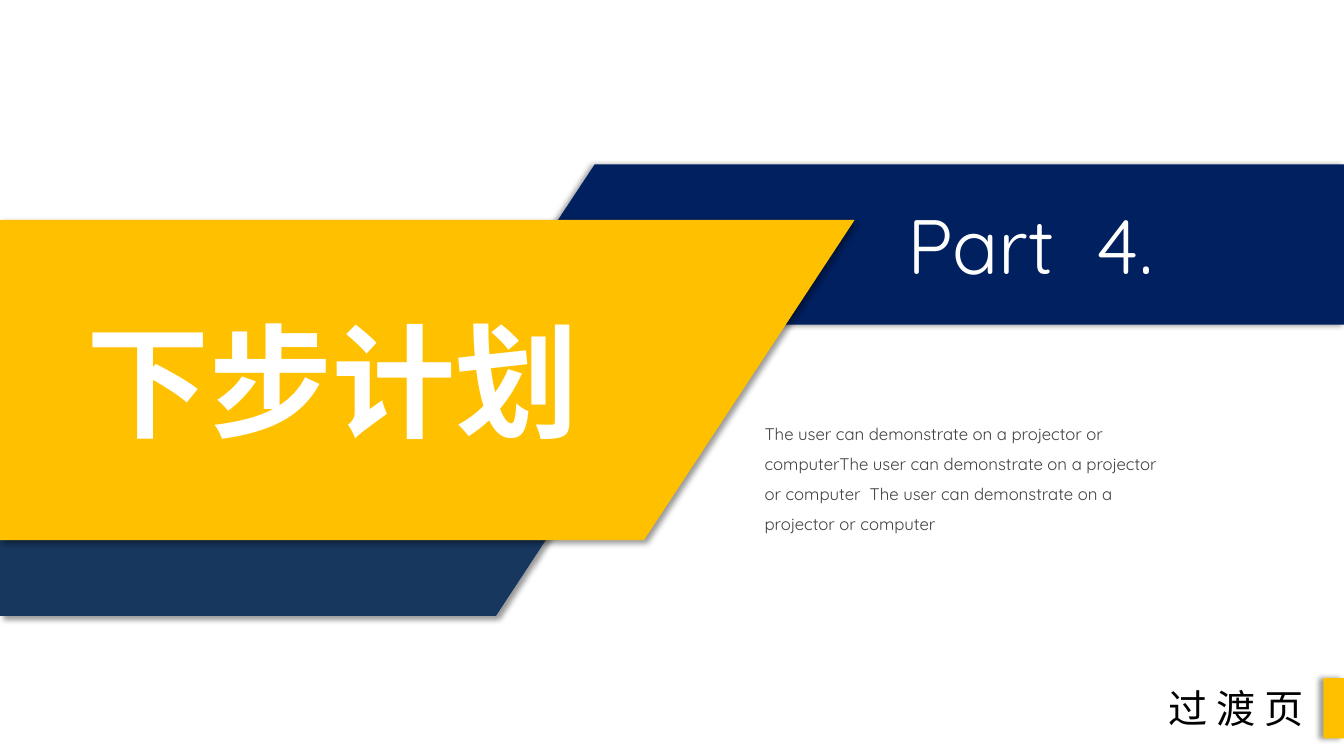
from pptx import Presentation
from pptx.dml.color import RGBColor as RGB
from pptx.enum.shapes import MSO_SHAPE as Shape
from pptx.enum.text import MSO_AUTO_SIZE as Fit, PP_ALIGN as Align
from pptx.oxml import parse_xml
from pptx.oxml.ns import nsdecls, qn
from pptx.util import Cm, Pt

WIDE, HIGH = 33.87, 19.05
HEX = {"steel": "17375E", "navy": "002060", "gold": "FFC000",
       "white": "FFFFFF", "grey": "404040", "black": "000000"}

# colour, shadow angle, top, bottom, (top left, top right, bottom right, bottom left)
BANDS = [
    ("steel", 45, 12.98, 15.52, (0, 14.17, 12.5, 0)),
    ("navy", 180, 4.14, 8.18, (14.99, WIDE, WIDE, 12.32)),
    ("gold", 45, 5.54, 13.61, (0, 21.54, 16.23, 0)),
]
TAB = (33.35, 17.09, 0.52, 1.52)

# text, box, font, size, colour, bold, wrap, line spacing, alignment
TEXTS = [
    ("Part  4.", (22.61, 4.85, 6.99, 2.62),
     "Quicksand", 55, "white", False, True, 1, Align.LEFT),
    ("下步计划", (1.93, 7.57, 13.06, 4.01),
     "Quicksand", 88, "white", True, False, 1, Align.LEFT),
    ("The user can demonstrate on a projector or computer"
     "The user can demonstrate on a projector or computer  "
     "The user can demonstrate on a projector or computer",
     (19.02, 10.29, 10.57, 3.33),
     "Quicksand", 12, "grey", False, True, 1.5, Align.LEFT),
    ("过 渡 页", (28.96, 17.12, 4.39, 1.45),
     "Arial", 28, "black", False, True, 1, Align.CENTER),
]


def paint(shape, hue, angle):
    """Fill the shape, drop its outline and cast a soft shadow at the angle."""
    shape.fill.solid()
    shape.fill.fore_color.rgb = RGB.from_string(HEX[hue])
    shape.line.fill.background()
    shape.shadow.inherit = False
    shade = parse_xml(
        f'<a:outerShdw {nsdecls("a")} blurRad="{Pt(4)}" dist="{Pt(3)}" '
        f'dir="{angle * 60000}" algn="ctr" rotWithShape="0">'
        f'<a:srgbClr val="{HEX["black"]}"><a:alpha val="40000"/></a:srgbClr>'
        '</a:outerShdw>')
    shape._element.spPr.find(qn("a:effectLst")).append(shade)


def add_band(shapes, hue, angle, top, low, xs):
    spots = [(Cm(x), Cm(y)) for x, y in zip(xs, (top, top, low, low))]
    path = shapes.build_freeform(*spots[0])
    path.add_line_segments(spots[1:], close=True)
    paint(path.convert_to_shape(), hue, angle)


def add_text(shapes, text, box, face, size, hue, bold, wrap, space, align):
    frame = shapes.add_textbox(*map(Cm, box)).text_frame
    frame.text = text
    frame.word_wrap = wrap
    frame.auto_size = Fit.SHAPE_TO_FIT_TEXT
    para = frame.paragraphs[0]
    para.alignment = align
    para.line_spacing = space
    font = para.runs[0].font
    font.name, font.size, font.bold = face, Pt(size), bold
    font.color.rgb = RGB.from_string(HEX[hue])


def main():
    deck = Presentation()
    deck.slide_width, deck.slide_height = Cm(WIDE), Cm(HIGH)
    shapes = deck.slides.add_slide(deck.slide_layouts[6]).shapes
    for band in BANDS:
        add_band(shapes, *band)
    paint(shapes.add_shape(Shape.RECTANGLE, *map(Cm, TAB)), "gold", 180)
    for item in TEXTS:
        add_text(shapes, *item)
    deck.save("out.pptx")


if __name__ == "__main__":
    main()
